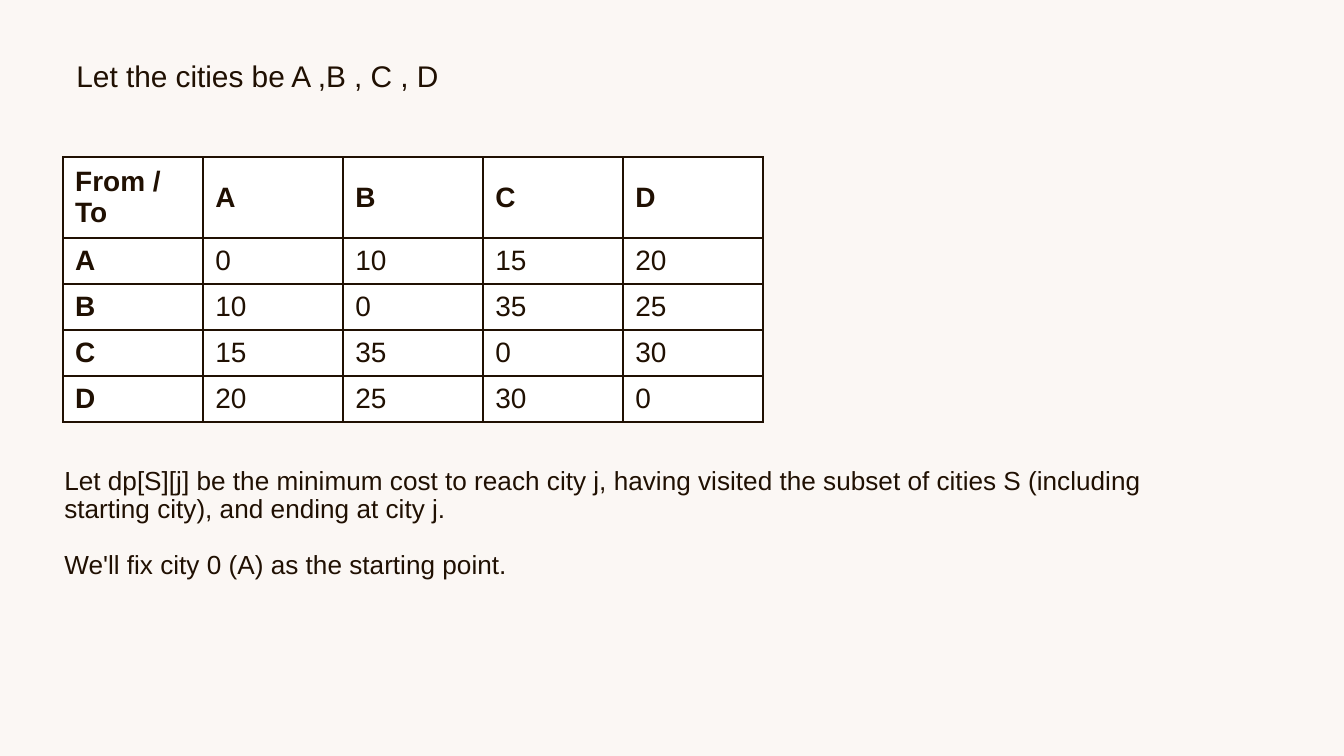
import pptx
import pptx.dml.color
import pptx.enum.text
import pptx.oxml
import pptx.oxml.ns
import pptx.util
from pptx.util import Inches

# Content
TITLE = "Let the cities be A ,B , C , D"
CITIES = ["A", "B", "C", "D"]
COSTS = [
    [0, 10, 15, 20],
    [10, 0, 35, 25],
    [15, 35, 0, 30],
    [20, 25, 30, 0],
]
DEFINITION = [
    "Let dp[S][j] be the minimum cost to reach city j, having visited the "
    "subset of cities S (including starting city), and ending at city j.",
    "We'll fix city 0 (A) as the starting point.",
]

# Style
FONT = "Arial"
INK = pptx.dml.color.RGBColor(0x20, 0x10, 0x02)
PAPER = pptx.dml.color.RGBColor(0xFB, 0xF7, 0xF4)
WHITE = pptx.dml.color.RGBColor(0xFF, 0xFF, 0xFF)
SLIDE_WIDTH = 10
TABLE_WIDTH, TABLE_HEIGHT, HEADER_HEIGHT = 5.21, 1.97, 0.6


def write(frame, *paragraphs, size, bold=False, line_spacing=None, gap=0):
    for index, text in enumerate(paragraphs):
        paragraph = frame.paragraphs[0] if index == 0 else frame.add_paragraph()
        paragraph.text = text
        paragraph.line_spacing = line_spacing
        if index:
            paragraph.space_before = pptx.util.Pt(gap)
        font = paragraph.font
        font.name, font.size, font.bold = FONT, pptx.util.Pt(size), bold
        font.color.rgb = INK


def add_text_frame(slide, left, top, width, height):
    frame = slide.shapes.add_textbox(
        Inches(left), Inches(top), Inches(width), Inches(height)).text_frame
    frame.word_wrap = True
    frame.margin_left = frame.margin_right = Inches(0.1)
    frame.margin_top = frame.margin_bottom = Inches(0.1)
    return frame


def add_borders(cell):
    properties = cell._tc.get_or_add_tcPr()
    for position, side in enumerate(("lnL", "lnR", "lnT", "lnB")):
        properties.insert(position, pptx.oxml.parse_xml(
            f'<a:{side} {pptx.oxml.ns.nsdecls("a")} w="12700"><a:solidFill>'
            f'<a:srgbClr val="{INK}"/></a:solidFill></a:{side}>'))


def add_cost_table(slide, left, top):
    rows = [["From / To", *CITIES]]
    rows += [[city, *costs] for city, costs in zip(CITIES, COSTS)]
    count = len(rows)
    row_height = (TABLE_HEIGHT - HEADER_HEIGHT) / len(CITIES)
    table = slide.shapes.add_table(
        count, count, Inches(left), Inches(top),
        Inches(TABLE_WIDTH), Inches(TABLE_HEIGHT)).table
    for column in table.columns:
        column.width = Inches(TABLE_WIDTH / count)
    for r, values in enumerate(rows):
        table.rows[r].height = Inches(row_height if r else HEADER_HEIGHT)
        for c, value in enumerate(values):
            cell = table.cell(r, c)
            cell.fill.solid()
            cell.fill.fore_color.rgb = WHITE
            cell.vertical_anchor = pptx.enum.text.MSO_ANCHOR.MIDDLE
            cell.margin_left = cell.margin_right = Inches(0.09)
            cell.margin_top = cell.margin_bottom = Inches(0.04)
            write(cell.text_frame, str(value), size=15, bold=r == 0 or c == 0)
            add_borders(cell)


def main():
    deck = pptx.Presentation()
    deck.slide_width = Inches(SLIDE_WIDTH)
    deck.slide_height = Inches(SLIDE_WIDTH * 9 / 16)
    slide = deck.slides.add_slide(deck.slide_layouts[6])
    slide.background.fill.solid()
    slide.background.fill.fore_color.rgb = PAPER

    # Title
    write(add_text_frame(slide, 0.47, 0.36, 8.71, 0.76), TITLE,
          size=16, line_spacing=0.9)

    # Cost of travel between cities
    add_cost_table(slide, 0.47, 1.17)

    # Definition of the subproblem
    write(add_text_frame(slide, 0.38, 3.38, 8.71, 1.07), *DEFINITION,
          size=14, line_spacing=0.9, gap=15)

    deck.save("out.pptx")


if __name__ == "__main__":
    main()
